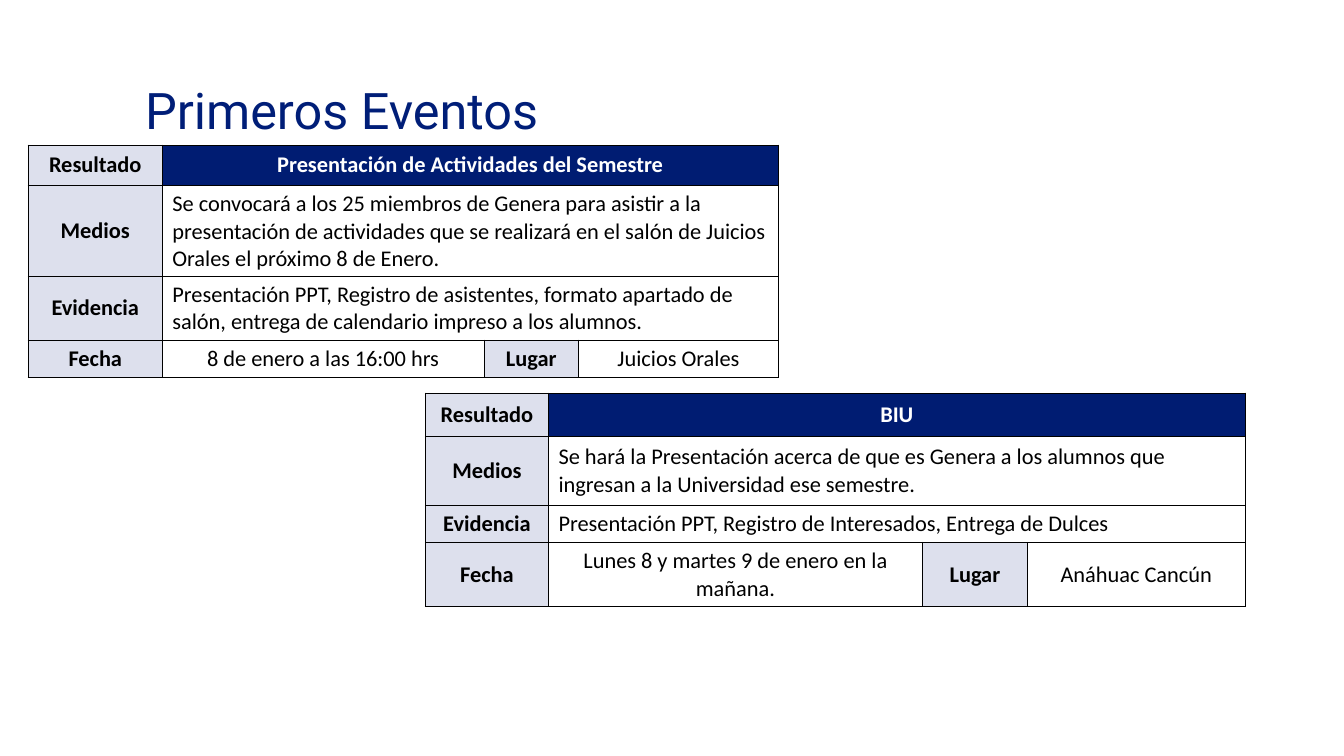
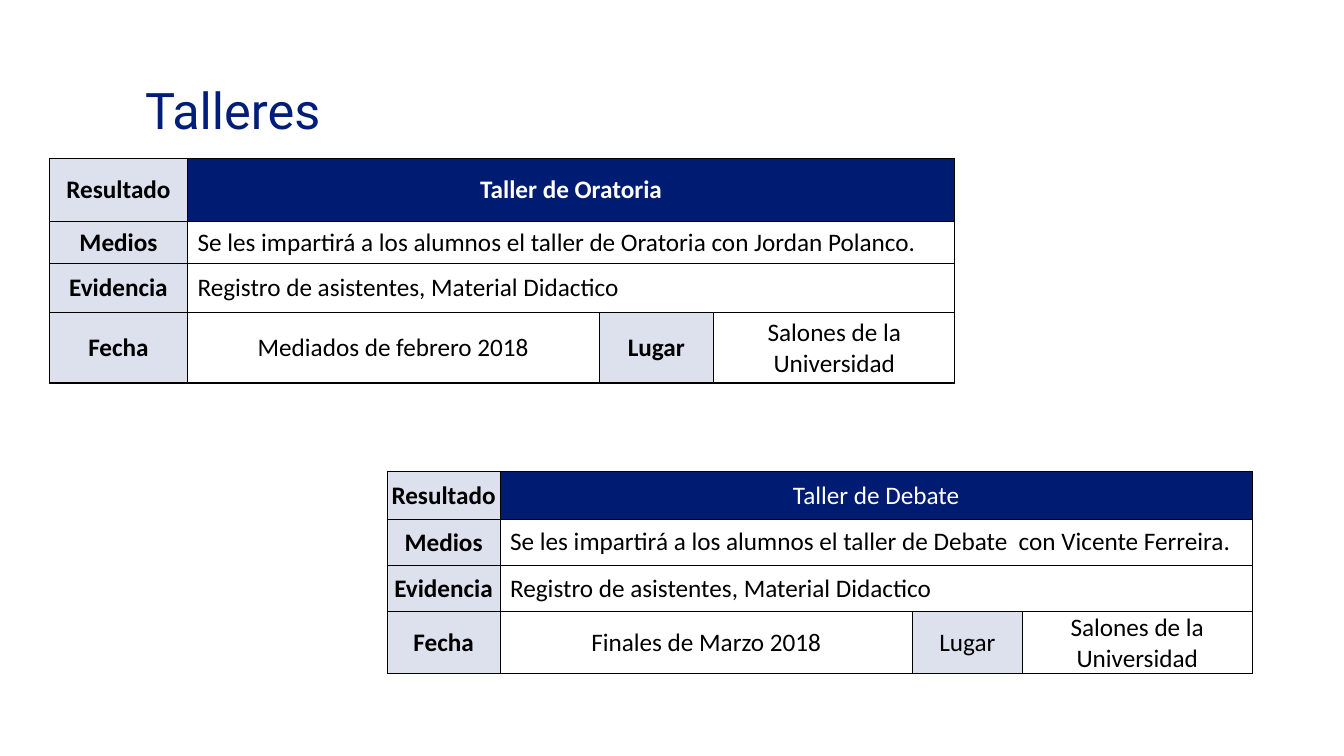
from dataclasses import dataclass

from lxml import etree
from pptx import Presentation
from pptx import util as u
from pptx.dml.color import RGBColor
from pptx.enum import text
from pptx.oxml import ns

PX = 9144  # EMU per px, 100 px to the inch
SLIDE_W, SLIDE_H = 1333, 750

TITLE_BLUE = RGBColor(0x00, 0x1E, 0x78)
HEADER_BLUE = RGBColor(0x00, 0x1C, 0x72)
LABEL_GREY = RGBColor(0xDD, 0xE0, 0xED)
WHITE = RGBColor(0xFF, 0xFF, 0xFF)
BLACK = RGBColor(0x00, 0x00, 0x00)

TITLE_FONT, TABLE_FONT = "Roboto", "Calibri"
OUTER, INNER = u.Pt(1), u.Pt(0.5)
LAST_ROW = LAST_COL = 3


@dataclass
class Event:
    """One event card: its place, its grid and its wording."""
    left: int
    top: int
    cols: tuple
    rows: tuple
    size: int
    result: str
    means: str
    evidence: str
    date: str
    place: str
    tight: bool = False  # narrow margins around labels, date and place
    emphasis: bool = True  # bold heading and bold "Lugar"


FIRST_EVENTS = [
    Event(28, 144, (133, 319, 94, 198), (40, 90, 63, 37), 16,
          "Presentación de Actividades del Semestre",
          "Se convocará a los 25 miembros de Genera para asistir a la presentación de "
          "actividades que se realizará en el salón de Juicios Orales el próximo 8 de Enero.",
          "Presentación PPT, Registro de asistentes, formato apartado de salón, "
          "entrega de calendario impreso a los alumnos.",
          "8 de enero a las 16:00 hrs", "Juicios Orales"),
    Event(422, 390, (122, 371, 104, 216), (43, 68, 37, 64), 16,
          "BIU",
          "Se hará la Presentación acerca de que es Genera a los alumnos que ingresan "
          "a la Universidad ese semestre.",
          "Presentación PPT, Registro de Interesados, Entrega de Dulces",
          "Lunes 8 y martes 9 de enero en la mañana.", "Anáhuac Cancún"),
]

WORKSHOPS = [
    Event(49, 157, (137, 408, 114, 239), (63, 41, 49, 69), 18,
          "Taller de Oratoria",
          "Se les impartirá a los alumnos el taller de Oratoria con Jordan Polanco.",
          "Registro de asistentes, Material Didactico",
          "Mediados de febrero 2018", "Salones de la Universidad"),
    Event(384, 468, (112, 409, 109, 228), (47, 46, 46, 61), 18,
          "Taller de Debate",
          "Se les impartirá a los alumnos el taller de Debate  con Vicente Ferreira.",
          "Registro de asistentes, Material Didactico",
          "Finales de Marzo 2018", "Salones de la Universidad",
          tight=True, emphasis=False),
]


def px(n):
    return u.Emu(n * PX)


def add_title(s, title):
    sp = s.shapes.add_textbox(px(134), px(74), px(612), px(71))
    tf = sp.text_frame
    tf.word_wrap = True
    tf.auto_size = text.MSO_AUTO_SIZE.SHAPE_TO_FIT_TEXT
    p = tf.paragraphs[0]
    p.text = title
    p.font.name, p.font.size = TITLE_FONT, u.Pt(36)
    p.font.color.rgb = TITLE_BLUE


def set_borders(cell, row, first_col, last_col):
    """Heavier lines on the table's edge, thin lines inside."""
    widths = {
        "L": OUTER if first_col == 0 else INNER,
        "R": OUTER if last_col == LAST_COL else INNER,
        "T": OUTER if row == 0 else INNER,
        "B": OUTER if row == LAST_ROW else INNER,
    }
    tc_pr = cell._tc.get_or_add_tcPr()
    for side, width in widths.items():
        ln = etree.SubElement(tc_pr, ns.qn(f"a:ln{side}"), w=str(int(width)))
        fill = etree.SubElement(ln, ns.qn("a:solidFill"))
        etree.SubElement(fill, ns.qn("a:srgbClr"), val=str(BLACK))


def fill_cell(cell, words, size, fill, color=BLACK, bold=False, centered=True, tight=False):
    cell.fill.solid()
    cell.fill.fore_color.rgb = fill
    cell.vertical_anchor = text.MSO_ANCHOR.MIDDLE
    if tight:
        cell.margin_left = cell.margin_right = cell.margin_top = px(1)
        cell.margin_bottom = 0
    p = cell.text_frame.paragraphs[0]
    p.text = words
    p.alignment = text.PP_ALIGN.CENTER if centered else text.PP_ALIGN.LEFT
    p.font.name, p.font.size, p.font.bold = TABLE_FONT, u.Pt(size), bold
    p.font.color.rgb = color


def add_event(s, event):
    frame = s.shapes.add_table(len(event.rows), len(event.cols), px(event.left), px(event.top),
                               px(sum(event.cols)), px(sum(event.rows)))
    table = frame.table
    table.first_row = table.horz_banding = False
    for column, width in zip(table.columns, event.cols):
        column.width = px(width)
    for row, height in zip(table.rows, event.rows):
        row.height = px(height)

    # Grid: the first three rows hold one wide cell after the label
    for r in range(LAST_ROW + 1):
        wide = r < LAST_ROW
        if wide:
            table.cell(r, 1).merge(table.cell(r, LAST_COL))
        for c in range(LAST_COL + 1):
            first, last = (1, LAST_COL) if wide and c else (c, c)
            set_borders(table.cell(r, c), r, first, last)

    # Labels
    for r, label in enumerate(("Resultado", "Medios", "Evidencia", "Fecha")):
        fill_cell(table.cell(r, 0), label, event.size, LABEL_GREY, bold=True, tight=event.tight)
    fill_cell(table.cell(3, 2), "Lugar", event.size, LABEL_GREY, bold=event.emphasis)

    # Contents
    fill_cell(table.cell(0, 1), event.result, event.size, HEADER_BLUE, WHITE, event.emphasis)
    for r, words in ((1, event.means), (2, event.evidence)):
        fill_cell(table.cell(r, 1), words, event.size, WHITE, centered=False)
    for c, words in ((1, event.date), (3, event.place)):
        fill_cell(table.cell(3, c), words, event.size, WHITE, tight=event.tight)


def main():
    prs = Presentation()
    prs.slide_width, prs.slide_height = px(SLIDE_W), px(SLIDE_H)
    for title, events in (("Primeros Eventos", FIRST_EVENTS), ("Talleres", WORKSHOPS)):
        s = prs.slides.add_slide(prs.slide_layouts[6])
        add_title(s, title)
        for event in events:
            add_event(s, event)
    prs.save("out.pptx")


if __name__ == "__main__":
    main()
